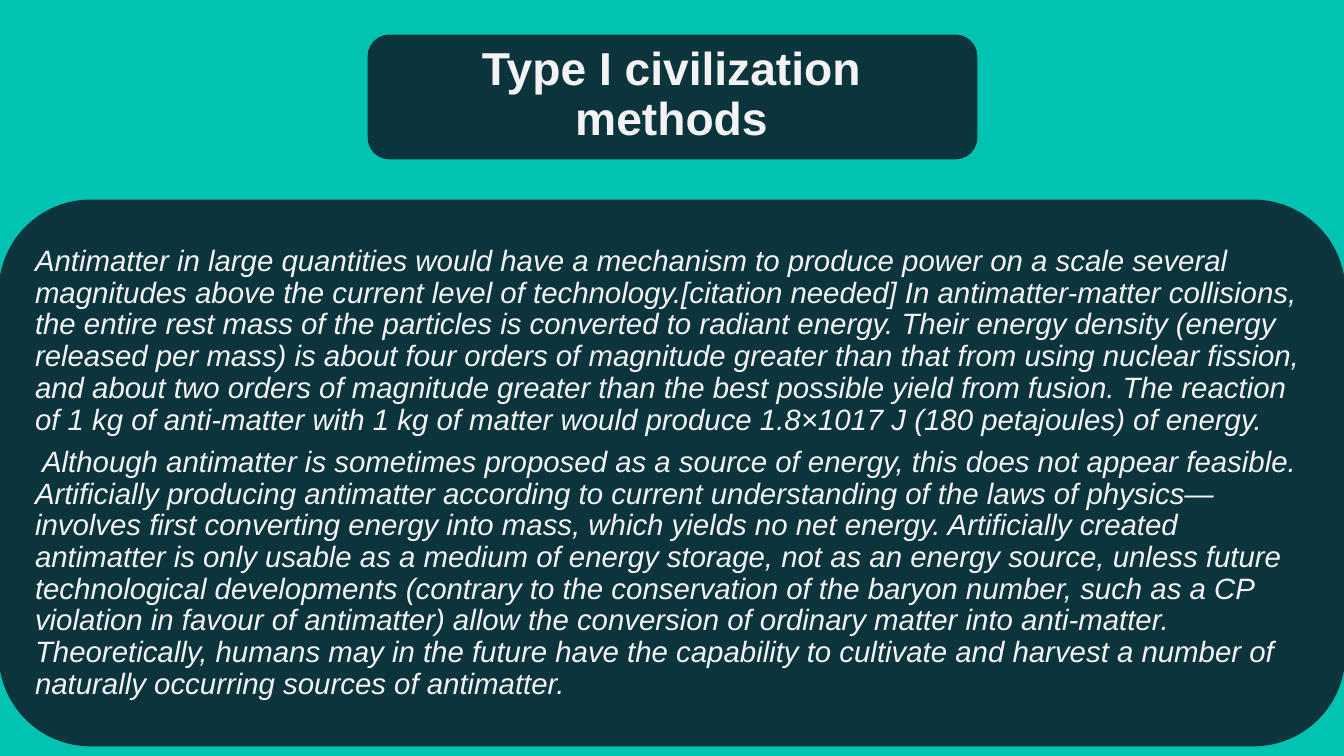
from pptx import Presentation as Deck
from pptx.dml.color import RGBColor as Color
from pptx.enum.shapes import MSO_SHAPE as Shape
from pptx.enum.text import MSO_ANCHOR as Anchor, PP_ALIGN as Align
from pptx.util import Emu, Pt

TEAL = Color(0x00, 0xC3, 0xB1)
NAVY = Color(0x0C, 0x34, 0x3D)
PALE = Color(0xF3, 0xF3, 0xF3)
FONT = "Arial"
SCALE = 914400 / 100.8

TITLE = "Type I civilization methods"
BODY = [
    "Antimatter in large quantities would have a mechanism to produce power "
    "on a scale several magnitudes above the current level of technology."
    "[citation needed] In antimatter-matter collisions, the entire rest mass "
    "of the particles is converted to radiant energy. Their energy density "
    "(energy released per mass) is about four orders of magnitude greater "
    "than that from using nuclear fission, and about two orders of magnitude "
    "greater than the best possible yield from fusion. The reaction of 1 kg "
    "of anti-matter with 1 kg of matter would produce 1.8×1017 J "
    "(180 petajoules) of energy.",
    " Although antimatter is sometimes proposed as a source of energy, this "
    "does not appear feasible. Artificially producing antimatter according "
    "to current understanding of the laws of physics—involves first "
    "converting energy into mass, which yields no net energy. Artificially "
    "created antimatter is only usable as a medium of energy storage, not as "
    "an energy source, unless future technological developments (contrary to "
    "the conservation of the baryon number, such as a CP violation in favour "
    "of antimatter) allow the conversion of ordinary matter into anti-matter. "
    "Theoretically, humans may in the future have the capability to cultivate "
    "and harvest a number of naturally occurring sources of antimatter.",
]


def px(count):
    return Emu(round(count * SCALE))


def add_panel(slide, *area):
    panel = slide.shapes.add_shape(Shape.ROUNDED_RECTANGLE, *map(px, area))
    panel.shadow.inherit = False
    panel.fill.solid()
    panel.fill.fore_color.rgb = NAVY
    panel.line.color.rgb = NAVY
    panel.line.width = Pt(2)


def add_text(slide, area, texts, size, align, inset, bold=False, italic=False):
    frame = slide.shapes.add_textbox(*map(px, area)).text_frame
    frame.word_wrap = True
    frame.vertical_anchor = Anchor.MIDDLE
    frame.margin_left = frame.margin_right = px(inset[0])
    frame.margin_top = frame.margin_bottom = px(inset[1])
    for index, text in enumerate(texts):
        para = frame.add_paragraph() if index else frame.paragraphs[0]
        para.alignment = align
        para.line_spacing = 0.9
        para.space_after = Pt(size * 0.35)
        run = para.add_run()
        run.text = text
        font = run.font
        font.name = FONT
        font.size = Pt(size)
        font.bold = bold
        font.italic = italic
        font.color.rgb = PALE


def main():
    deck = Deck()
    deck.slide_width, deck.slide_height = px(1344), px(756)
    slide = deck.slides.add_slide(deck.slide_layouts[6])
    slide.background.fill.solid()
    slide.background.fill.fore_color.rgb = TEAL
    add_panel(slide, 0, 201, 1344, 544)
    add_text(slide, (26, 228, 1291, 491), BODY, 21, Align.LEFT, (9, 9),
             italic=True)
    add_panel(slide, 369, 36, 607, 122)
    add_text(slide, (374, 41, 595, 110), [TITLE], 33, Align.CENTER, (14, 7),
             bold=True)
    deck.save("out.pptx")


if __name__ == "__main__":
    main()
